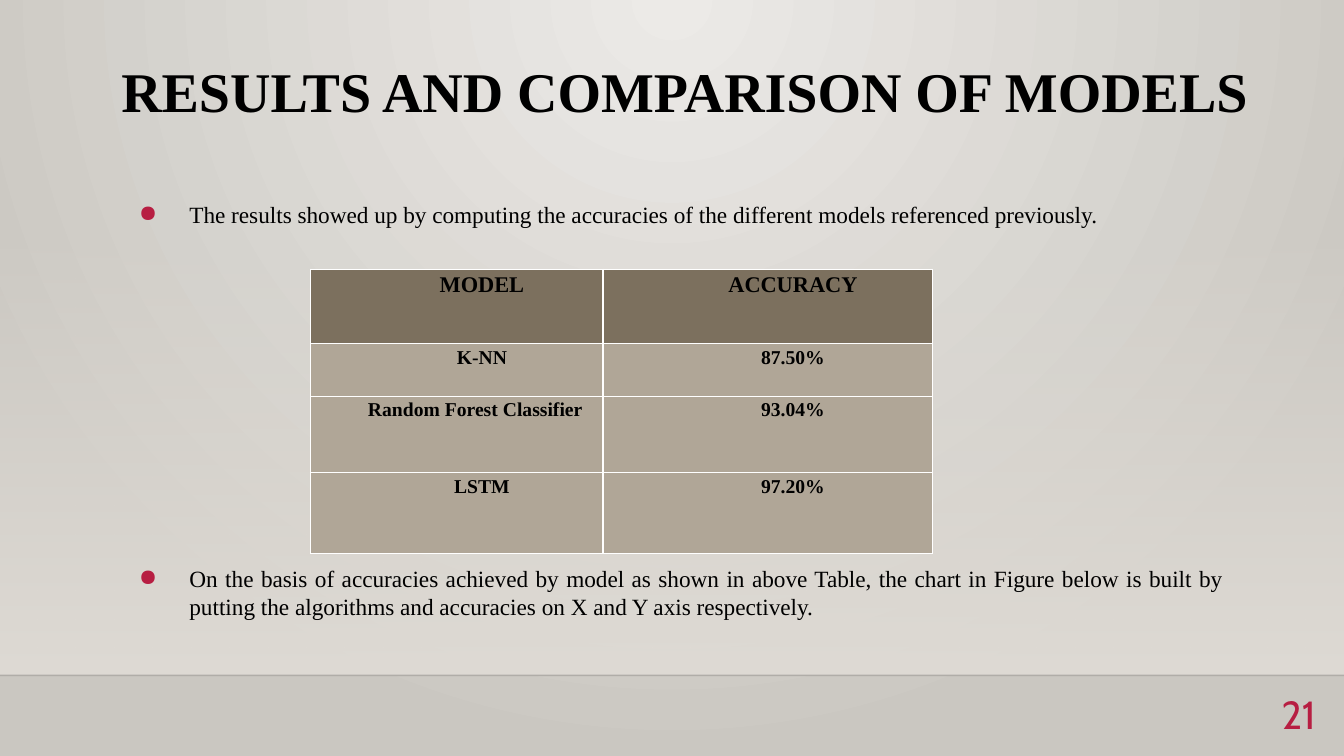
from dataclasses import dataclass

from pptx import Presentation
from pptx.dml.color import RGBColor
from pptx.enum.shapes import MSO_CONNECTOR as Connector, MSO_SHAPE as Preset
from pptx.enum.text import MSO_ANCHOR as Anchor, PP_ALIGN as Align
from pptx.oxml import parse_xml
from pptx.oxml.ns import nsdecls, qn
from pptx.util import Inches, Pt

BLACK = RGBColor(0x00, 0x00, 0x00)
WHITE = RGBColor(0xFF, 0xFF, 0xFF)
CRIMSON = RGBColor(0xB7, 0x1E, 0x42)
HEADER_BROWN = RGBColor(0x7C, 0x70, 0x5E)
ROW_TAUPE = RGBColor(0xB0, 0xA6, 0x97)
GLOW = RGBColor(0xEC, 0xEA, 0xE7)
EDGE = RGBColor(0xCA, 0xC7, 0xC1)
BAND = RGBColor(0xDF, 0xDB, 0xD5)
SERIF = "Times New Roman"
SLIDE_WIDTH = 13.33
FLOOR_TOP = 6.7


@dataclass(frozen=True)
class Result:
    model: str
    accuracy: str
    height: float
    fill: RGBColor = ROW_TAUPE
    size: float = 14
    model_align: Align = Align.CENTER


RESULTS = [
    Result("MODEL", "ACCURACY", 0.74, HEADER_BROWN, 16),
    Result("K-NN", "87.50%", 0.52),
    Result("Random Forest Classifier", "93.04%", 0.76, model_align=Align.JUSTIFY),
    Result("LSTM", "97.20%", 0.8),
]
BULLETS = [
    ("The results showed up by computing the accuracies of the different models "
     "referenced previously.", Align.LEFT, 0),
    ("On the basis of accuracies achieved by model as shown in above Table, the chart "
     "in Figure below is built by putting the algorithms and accuracies on X and Y axis "
     "respectively.", Align.JUSTIFY, 240),
]


def write(paragraph, text: str, *, size: float, font: str = SERIF, color: RGBColor = BLACK,
          bold: bool = False, align: Align = Align.LEFT, spacing: float = 1.0,
          before: float = 0, after: float = 0) -> None:
    paragraph.alignment = align
    paragraph.line_spacing = spacing
    paragraph.space_before = Pt(before)
    paragraph.space_after = Pt(after)
    run = paragraph.add_run()
    run.text = text
    run.font.name = font
    run.font.size = Pt(size)
    run.font.bold = bold
    run.font.color.rgb = color


def add_text_frame(slide, left: float, top: float, width: float, height: float,
                   anchor: Anchor = Anchor.TOP):
    box = slide.shapes.add_textbox(Inches(left), Inches(top), Inches(width), Inches(height))
    frame = box.text_frame
    frame.word_wrap = True
    frame.vertical_anchor = anchor
    frame.margin_left = frame.margin_right = Inches(0.1)
    frame.margin_top = frame.margin_bottom = Inches(0.1)
    return frame


def set_gradient(parent, start: RGBColor, end: RGBColor, direction: str,
                 start_alpha: int = 100) -> None:
    """Swap the solid fill of parent for a two-stop gradient."""
    gradient = parse_xml(
        f'<a:gradFill {nsdecls("a")} rotWithShape="1"><a:gsLst>'
        f'<a:gs pos="0"><a:srgbClr val="{start}"><a:alpha val="{start_alpha * 1000}"/>'
        f'</a:srgbClr></a:gs><a:gs pos="100000"><a:srgbClr val="{end}"/></a:gs>'
        f'</a:gsLst>{direction}</a:gradFill>')
    parent.replace(parent.find(qn("a:solidFill")), gradient)


def add_backdrop(slide) -> None:
    # Radial glow from the top centre
    slide.background.fill.solid()
    set_gradient(slide.element.find(f'.//{qn("p:bgPr")}'), GLOW, EDGE,
                 '<a:path path="circle"><a:fillToRect l="43000" r="43000" b="100000"/></a:path>')

    # Wall fading in towards the floor
    wall = slide.shapes.add_shape(Preset.RECTANGLE, 0, Inches(2.21), Inches(SLIDE_WIDTH),
                                  Inches(FLOOR_TOP - 2.21))
    wall.shadow.inherit = False
    wall.line.fill.background()
    wall.fill.solid()
    set_gradient(wall.element.spPr, BAND, BAND, '<a:lin ang="5400000" scaled="0"/>', 0)

    # Floor edge
    edge = slide.shapes.add_connector(Connector.STRAIGHT, 0, Inches(FLOOR_TOP),
                                      Inches(SLIDE_WIDTH), Inches(FLOOR_TOP))
    edge.line.width = Pt(1)
    edge.line.color.rgb = BLACK
    properties = edge.element.spPr
    color = properties.find(f'.//{qn("a:srgbClr")}')
    color.append(parse_xml(f'<a:alpha {nsdecls("a")} val="20000"/>'))
    properties.append(parse_xml(f'<a:effectLst {nsdecls("a")}/>'))


def add_bullet(paragraph) -> None:
    properties = paragraph._p.get_or_add_pPr()
    properties.set("marL", str(Inches(0.67)))
    properties.set("indent", str(Inches(-0.5)))
    properties.append(parse_xml(
        f'<a:buClr {nsdecls("a")}><a:srgbClr val="{CRIMSON}"/></a:buClr>'))
    properties.append(parse_xml(f'<a:buChar {nsdecls("a")} char="●"/>'))


def fill_cell(cell, text: str, result: Result, align: Align, after: float) -> None:
    cell.margin_left = cell.margin_right = Inches(0.07)
    cell.margin_top = cell.margin_bottom = 0
    paragraph = cell.text_frame.paragraphs[0]
    write(paragraph, text, size=result.size, bold=True, align=align, spacing=1.15, after=after)
    paragraph._p.get_or_add_pPr().set("marL", str(Inches(0.5)))
    properties = cell._tc.get_or_add_tcPr()
    for side in ("lnL", "lnR", "lnT", "lnB"):
        properties.append(parse_xml(
            f'<a:{side} {nsdecls("a")} w="{Pt(1)}"><a:solidFill><a:srgbClr val="{WHITE}"/>'
            f'</a:solidFill></a:{side}>'))
    cell.fill.solid()
    cell.fill.fore_color.rgb = result.fill


def add_results_table(slide) -> None:
    table = slide.shapes.add_table(len(RESULTS), 2, Inches(3.08), Inches(2.67),
                                   Inches(6.17), Inches(2.82)).table
    for column, width in zip(table.columns, (2.9, 3.27)):
        column.width = Inches(width)
    for index, result in enumerate(RESULTS):
        table.rows[index].height = Inches(result.height)
        fill_cell(table.cell(index, 0), result.model, result, result.model_align, 0)
        fill_cell(table.cell(index, 1), result.accuracy, result, Align.CENTER, 10)


def main() -> None:
    presentation = Presentation()
    presentation.slide_width = Inches(SLIDE_WIDTH)
    presentation.slide_height = Inches(7.5)
    slide = presentation.slides.add_slide(presentation.slide_layouts[6])
    add_backdrop(slide)

    # Title
    title = add_text_frame(slide, 0.69, 0.34, 12.2, 1, Anchor.BOTTOM)
    write(title.paragraphs[0], "RESULTS AND COMPARISON OF MODELS", size=40, bold=True,
          align=Align.CENTER, spacing=0.9)

    # Bullets above and below the table
    body = add_text_frame(slide, 1.11, 1.89, 11.11, 4.48)
    for index, (text, align, before) in enumerate(BULLETS):
        paragraph = body.add_paragraph() if index else body.paragraphs[0]
        write(paragraph, text, size=16.6, align=align, before=before)
        add_bullet(paragraph)

    # Slide number
    number = add_text_frame(slide, 12.35, 6.8, 0.8, 0.57, Anchor.MIDDLE)
    write(number.paragraphs[0], "21", size=28, font="Cabin", color=CRIMSON, align=Align.RIGHT)

    add_results_table(slide)
    presentation.save("out.pptx")


if __name__ == "__main__":
    main()
